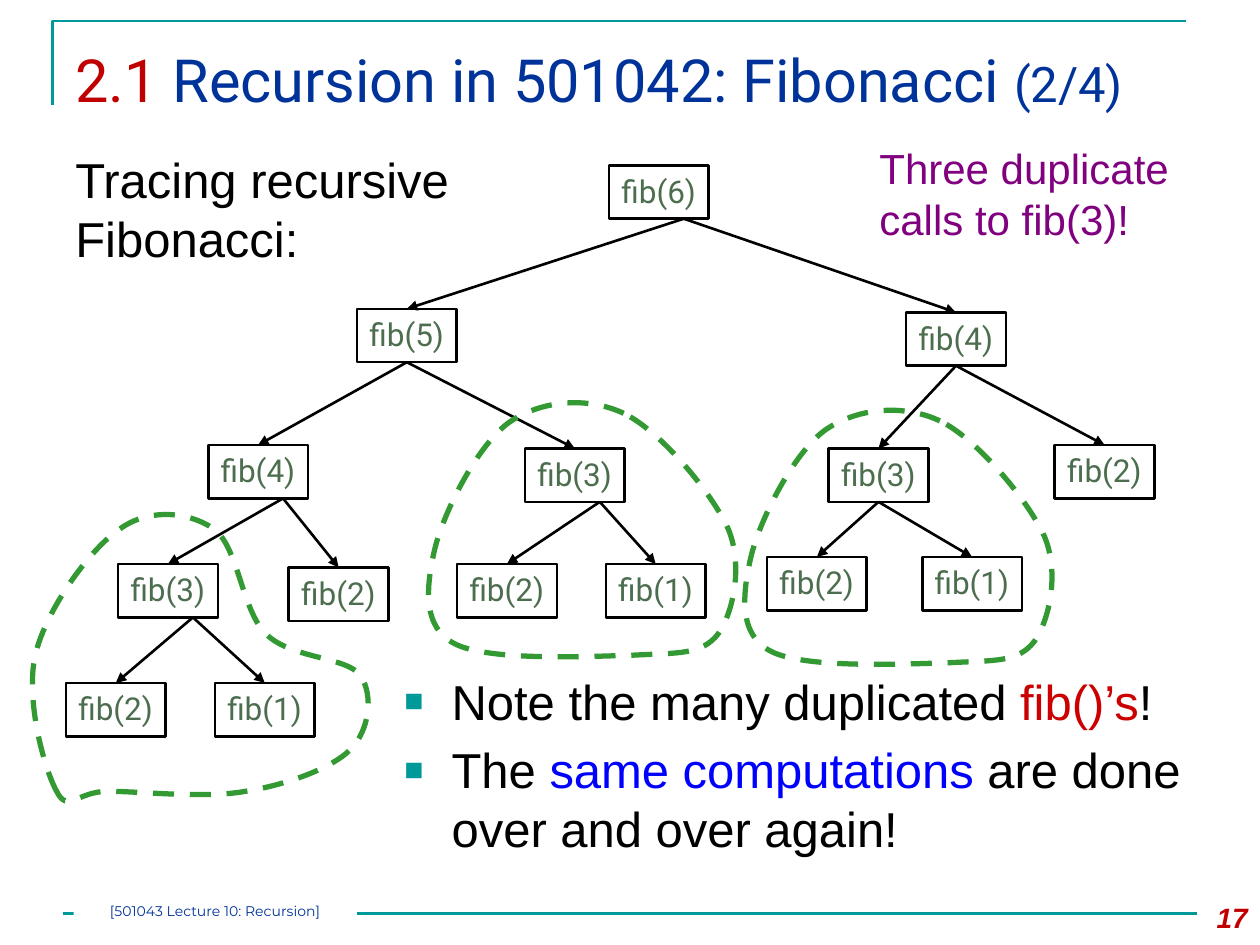
from lxml.etree import SubElement
from pptx import Presentation
from pptx.dml.color import RGBColor
from pptx.enum.dml import MSO_LINE_DASH_STYLE as Dash
from pptx.enum.shapes import MSO_CONNECTOR as Connector, MSO_SHAPE as Shape
from pptx.enum.text import MSO_ANCHOR as Anchor, PP_ALIGN as Align
from pptx.oxml.ns import qn
from pptx.util import Pt

hex_color = RGBColor.from_string


def add_text(shape, *paragraphs, font="Arial", size=28, align=Align.LEFT, anchor=Anchor.TOP,
             margins=(7.2, 3.6), wrap=True, bold=None, italic=None, bullet=None, gap=0):
    frame = shape.text_frame
    frame.word_wrap = wrap
    frame.vertical_anchor = anchor
    frame.margin_left = frame.margin_right = Pt(margins[0])
    frame.margin_top = frame.margin_bottom = Pt(margins[1])
    for index, runs in enumerate(paragraphs):
        paragraph = frame.add_paragraph() if index else frame.paragraphs[0]
        paragraph.alignment = align
        if index:
            paragraph.space_before = Pt(gap)
        if bullet:
            properties = paragraph._p.get_or_add_pPr()
            properties.set("marL", str(Pt(27)))
            properties.set("indent", str(Pt(-27)))
            bullet_color = SubElement(properties, qn("a:buClr"))
            SubElement(bullet_color, qn("a:srgbClr"), val=bullet)
            SubElement(properties, qn("a:buSzPct"), val="65000")
            SubElement(properties, qn("a:buFont"), typeface=font)
            SubElement(properties, qn("a:buChar"), char="■")
        for text, color, *own_size in runs:
            if text == "\n":
                paragraph.add_line_break()
                continue
            run = paragraph.add_run()
            run.text = text
            run.font.name = font
            run.font.size = Pt(own_size[0] if own_size else size)
            run.font.bold = bold
            run.font.italic = italic
            run.font.color.rgb = hex_color(color)


def add_line(start, end, color, arrow=False):
    line = shapes.add_connector(Connector.STRAIGHT, *map(Pt, start + end))
    line.line.color.rgb = hex_color(color)
    line.line.width = Pt(1.5)
    if arrow:
        SubElement(line.line._get_or_add_ln(), qn("a:tailEnd"), type="triangle")
    SubElement(line._element.spPr, qn("a:effectLst"))
    return line


presentation = Presentation()
presentation.slide_width = Pt(720)
presentation.slide_height = Pt(540)
slide = presentation.slides.add_slide(presentation.slide_layouts[6])
shapes = slide.shapes

builder = shapes.build_freeform(Pt(30), Pt(60))
builder.add_line_segments([(Pt(30), Pt(12)), (Pt(678), Pt(12))], close=False)
corner = builder.convert_to_shape()
corner.shadow.inherit = False
corner.fill.background()
corner.line.color.rgb = hex_color("009999")
corner.line.width = Pt(1.5)

add_line((36, 522), (684, 522), "009999")

title = shapes.add_textbox(Pt(36), Pt(18), Pt(672), Pt(54))
add_text(title, [("2.1 ", "C00000"), ("Recursion in 501042: Fibonacci ", "003399"),
                 ("(2/4)", "003399", 28)], font="Roboto", size=34, anchor=Anchor.MIDDLE)
page_number = shapes.add_textbox(Pt(672), Pt(511), Pt(48), Pt(29))
add_text(page_number, [("17", "C00000")], size=16, align=Align.RIGHT, bold=True, italic=True)
heading = shapes.add_textbox(Pt(36), Pt(82), Pt(252), Pt(75))
add_text(heading, [("Tracing recursive Fibonacci:", "000000")])
notes = shapes.add_textbox(Pt(224), Pt(380), Pt(462), Pt(120))
add_text(notes,
         [("Note the many duplicated ", "000000"), ("fib()’s", "CC0000"), ("!", "000000")],
         [("The ", "000000"), ("same computations ", "0000FF"),
          ("are done over and over again!", "000000")],
         bullet="009999", gap=5.6)

NODE_WIDTH, NODE_HEIGHT = 57, 30.5
calls = {
    "root": (6, 348, 94.5),
    "L": (5, 204, 176.5), "R": (4, 517.8, 178.5),
    "LL": (4, 119, 254.3), "LR": (3, 300, 256.3),
    "RL": (3, 473.5, 256.3), "RR": (2, 602.7, 254.3),
    "LLL": (3, 67.5, 322.3), "LLR": (2, 165, 324.3),
    "LRL": (2, 261.2, 322.3), "LRR": (1, 346.2, 322.3),
    "RLL": (2, 438.3, 318.3), "RLR": (1, 527, 318.3),
    "LLLL": (2, 37.7, 390.3), "LLLR": (1, 122.8, 390.3),
}
nodes = {}
for call, (number, left, top) in calls.items():
    node = shapes.add_shape(Shape.RECTANGLE, Pt(left), Pt(top), Pt(NODE_WIDTH), Pt(NODE_HEIGHT))
    node.shadow.inherit = False
    node.fill.background()
    node.line.color.rgb = hex_color("000000")
    node.line.width = Pt(1.5)
    add_text(node, [(f"fib({number})", "4C6D4E")], font="Roboto", size=18, wrap=False)
    nodes[call] = node

for call, (number, left, top) in calls.items():
    if call == "root":
        continue
    parent = call[:-1] or "root"
    parent_left, parent_top = calls[parent][1:]
    start = (parent_left + NODE_WIDTH * 0.75, parent_top + NODE_HEIGHT)
    arrow = add_line(start, (left + NODE_WIDTH / 2, top), "000000", arrow=True)
    if parent in ("L", "R", "RL"):
        arrow.begin_connect(nodes[parent], 2)
    arrow.end_connect(nodes[call], 0)

left_loop = [
    (32.4, 452.2), (25.2, 439.2), (14.4, 399.6), (20.2, 374.4),
    (25.9, 349.2), (51.1, 313.9), (68.4, 302.4), (85, 290.2), (108, 292.3), (122.4, 302.4),
    (136.1, 312.5), (138.2, 348.5), (151.9, 362.2), (166.3, 376.6), (198, 375.1), (205.9, 385.9),
    (213.8, 397.4), (211, 417.6), (200.2, 428.4), (189.4, 439.2), (163.4, 448.6), (140.4, 452.2),
    (117.4, 456.5), (79.9, 452.2), (61.9, 452.2), (43.9, 452.2), (38.9, 465.1), (32.4, 452.2),
]
middle_loop = [
    (356.4, 236.2), (334.8, 226.1), (308.2, 229), (290.2, 241.9),
    (272.2, 255.6), (253.4, 293), (248.4, 313.9), (243.4, 335.5), (241.2, 358.6), (259.9, 367.9),
    (279.4, 378), (337, 375.1), (362.2, 374.4), (387.4, 373), (401, 374.4), (410.4, 362.2),
    (419, 349.9), (424.8, 323.3), (416.2, 302.4), (406.8, 281.5), (377.3, 246.2), (356.4, 236.2),
]
right_loop = [(x + 180.7, y + 4.3) for x, y in middle_loop]
for loop in (left_loop, middle_loop, right_loop):
    points = [(Pt(x), Pt(y)) for x, y in loop]
    builder = shapes.build_freeform(*points[0])
    builder.add_line_segments(points[1:], close=True)
    outline = builder.convert_to_shape()
    segments = outline._element.findall(".//" + qn("a:lnTo"))
    for first in range(0, len(points) - 1, 3):
        curve, *others = segments[first:first + 3]
        curve.tag = qn("a:cubicBezTo")
        for other in others:
            curve.append(other[0])
            other.getparent().remove(other)
    outline.shadow.inherit = False
    outline.fill.background()
    outline.line.color.rgb = hex_color("339933")
    outline.line.width = Pt(3)
    outline.line.dash_style = Dash.DASH

remark = shapes.add_textbox(Pt(495.4), Pt(78), Pt(188.6), Pt(65.5))
add_text(remark, [("Three duplicate ", "800080"), ("\n", "800080"), ("calls to fib(3)!", "800080")],
         size=24, wrap=False)

footer = shapes.add_shape(Shape.RECTANGLE, Pt(42), Pt(516), Pt(162), Pt(12))
footer.shadow.inherit = False
footer.fill.solid()
footer.fill.fore_color.rgb = hex_color("FFFFFF")
footer.line.fill.background()
add_text(footer, [("[501043 Lecture 10: Recursion]", "003399")], font="Montserrat", size=8,
         align=Align.CENTER, margins=(0, 0))

presentation.save("out.pptx")
